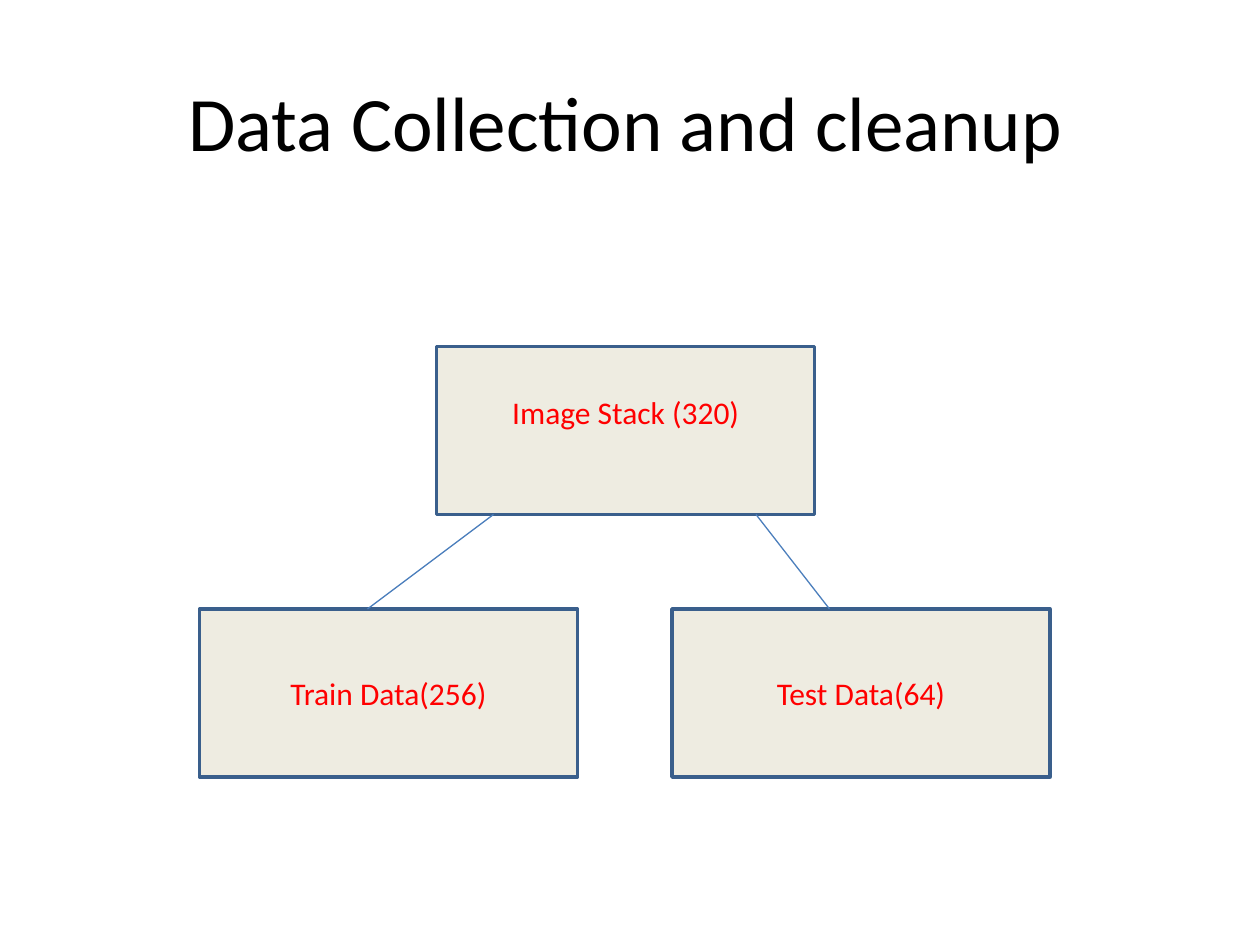
from dataclasses import dataclass
from lxml.etree import SubElement
from pptx import Presentation
from pptx.dml.color import RGBColor as RGB
from pptx.enum.shapes import MSO_CONNECTOR as Link, MSO_SHAPE as Form
from pptx.enum.text import MSO_ANCHOR as Anchor, PP_ALIGN as Align
from pptx.oxml.ns import qn
from pptx.util import Inches, Pt


@dataclass(frozen=True)
class Theme:
    font: str = "Calibri"
    ink: str = "000000"
    label: str = "FF0000"
    fill: str = "EEECE1"
    edge: str = "3A5F8C"
    link: str = "4B7EBC"
    head: int = 44
    body: int = 18
    thick: float = 2
    thin: float = 0.75


class Deck:
    """Draws styled elements on a slide grid of twelve cells to the inch."""

    def __init__(self, theme):
        self.theme = theme
        self.show = Presentation()
        self.show.slide_width, self.show.slide_height = Inches(10), Inches(7.5)
        self.slide = self.show.slides.add_slide(self.show.slide_layouts[6])

    def grid(self, *cells):
        return [Inches(cell / 12) for cell in cells]

    def label(self, shape, text, size, color):
        frame = shape.text_frame
        frame.word_wrap = True
        frame.vertical_anchor = Anchor.MIDDLE
        para = frame.paragraphs[0]
        para.alignment = Align.CENTER
        run = para.add_run()
        run.text = text
        run.font.name = self.theme.font
        run.font.size = Pt(size)
        run.font.color.rgb = RGB.from_string(color)

    def title(self, text, *cells):
        shape = self.slide.shapes.add_textbox(*self.grid(*cells))
        self.label(shape, text, self.theme.head, self.theme.ink)

    def box(self, text, col, row, lift=0):
        shape = self.slide.shapes.add_shape(
            Form.RECTANGLE, *self.grid(col, row, 36, 16))
        shape.shadow.inherit = False
        shape.fill.solid()
        shape.fill.fore_color.rgb = RGB.from_string(self.theme.fill)
        shape.line.color.rgb = RGB.from_string(self.theme.edge)
        shape.line.width = Pt(self.theme.thick)
        self.label(shape, text, self.theme.body, self.theme.label)
        shape.text_frame.margin_bottom += Pt(lift)

    def line(self, *ends):
        link = self.slide.shapes.add_connector(Link.STRAIGHT, *self.grid(*ends))
        link.line.color.rgb = RGB.from_string(self.theme.link)
        link.line.width = Pt(self.theme.thin)
        SubElement(link._element.spPr, qn("a:effectLst"))

    def save(self):
        self.show.save("out.pptx")


def main():
    theme = Theme()
    deck = Deck(theme)
    deck.title("Data Collection and cleanup", 5.6, 4, 108, 15)
    deck.box("Image Stack (320)", 41.6, 33, lift=1.2 * theme.body)
    for text, col, start, end in (("Train Data(256)", 19, 47, 35),
                                  ("Test Data(64)", 64, 72, 79)):
        deck.box(text, col, 58)
        deck.line(start, 49, end, 58)
    deck.save()


if __name__ == "__main__":
    main()
